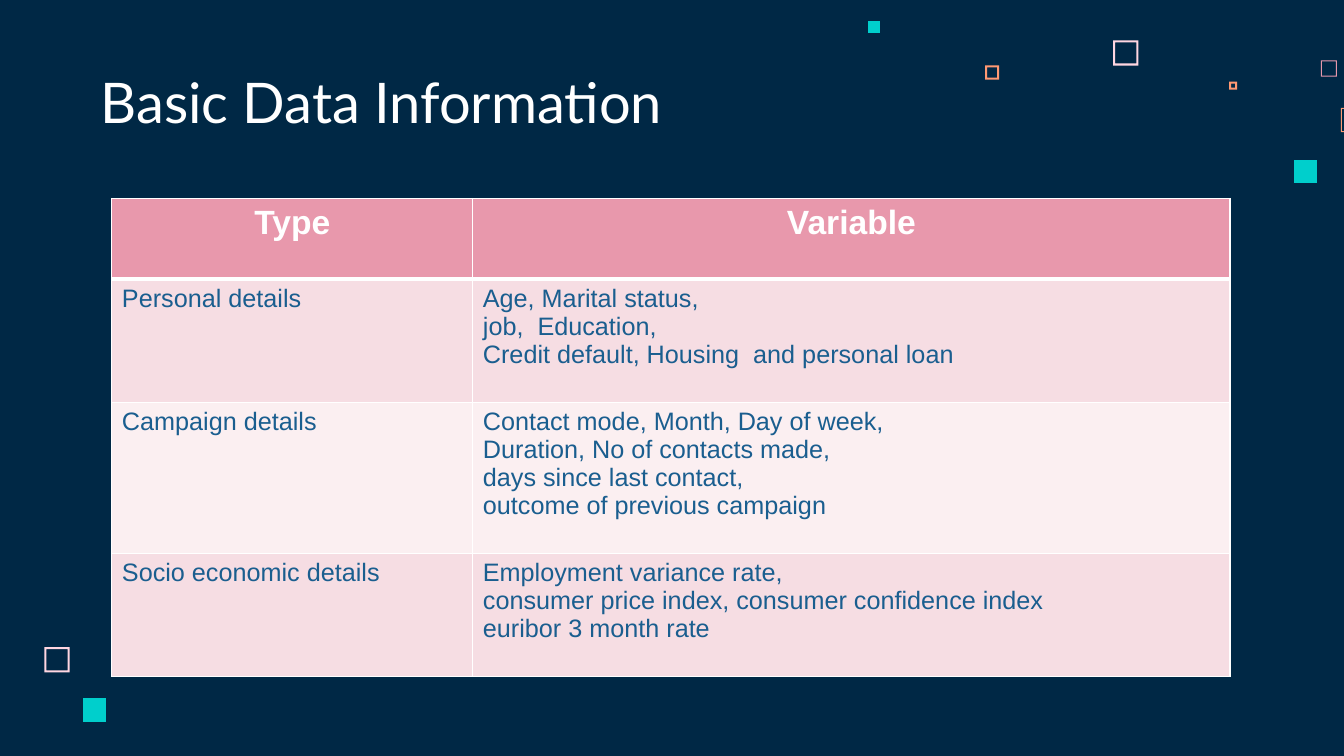
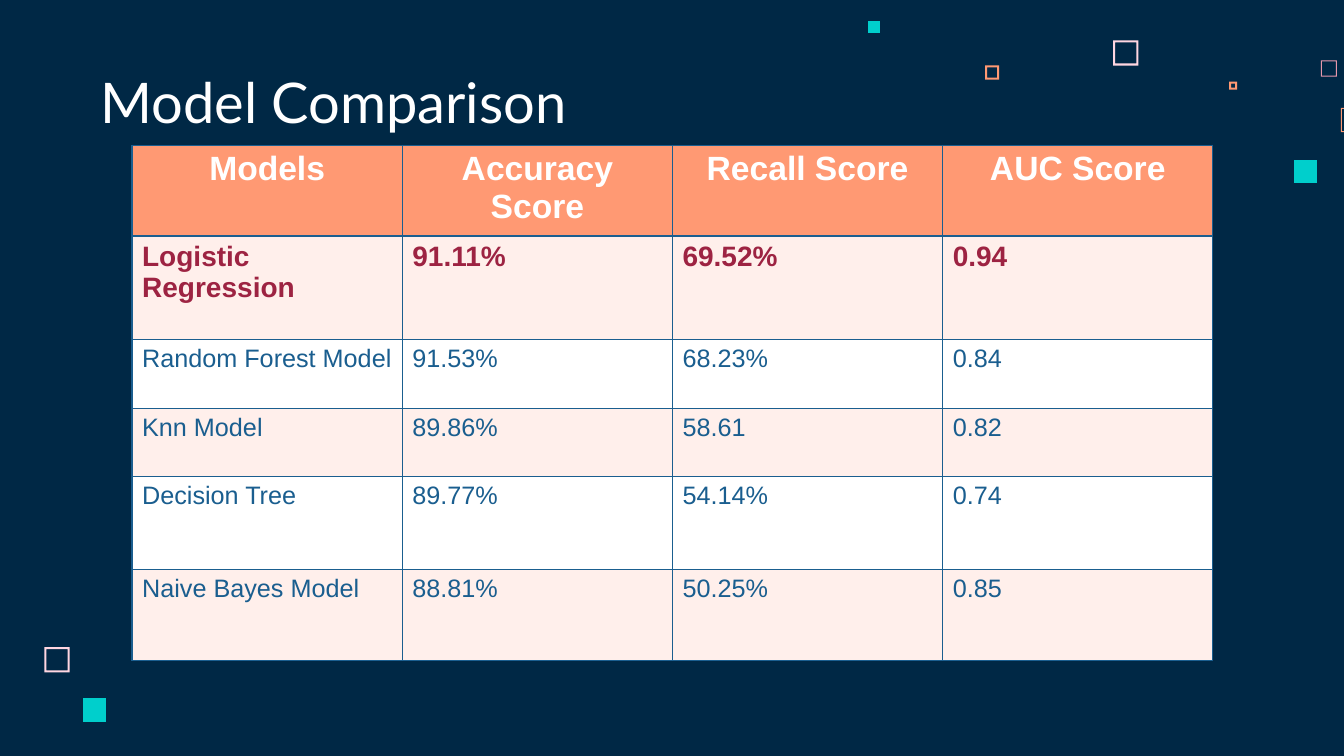
import pptx
import pptx.util
import pptx.dml.color
import pptx.enum.text
import pptx.oxml
import pptx.oxml.ns

Inches = pptx.util.Inches
Pt = pptx.util.Pt

COLORS = {
    "navy": "002845",
    "white": "FFFFFF",
    "blush": "FFD6E1",
    "rose": "E898AC",
    "rose_mid": "F6DDE3",
    "rose_light": "FBEFF1",
    "orange": "FF9973",
    "orange_light": "FFEFEB",
    "teal": "00CFCC",
    "blue": "1A5E8F",
    "crimson": "9D2342",
}

SQUARES = [
    (11.04, 0.4, 0.25, 0.02, "blush"),
    (13.1, 0.6, 0.16, 0.01, "rose"),
    (12.19, 0.81, 0.08, 0.02, "orange"),
    (13.3, 1.07, 0.24, 0.01, "orange"),
    (12.83, 1.59, 0.23, 0, "teal"),
    (9.77, 0.65, 0.14, 0.02, "orange"),
    (8.61, 0.21, 0.12, 0, "teal"),
    (0.44, 6.42, 0.25, 0.02, "blush"),
    (0.82, 6.93, 0.23, 0, "teal"),
]

SLIDES = [
    {
        "title": "Basic Data Information",
        "left": 1.11,
        "top": 1.97,
        "widths": [3.58, 7.51],
        "heights": [0.8, 1.22, 1.5, 1.22],
        "header_fill": "rose",
        "band_fills": ["rose_mid", "rose_light"],
        "border": "white",
        "header_rule": 3,
        "highlight_row": None,
        "rows": [
            ["Type", "Variable"],
            ["Personal details",
             "Age, Marital status,\njob,  Education,\nCredit default, Housing  and personal loan"],
            ["Campaign details",
             "Contact mode, Month, Day of week,\nDuration, No of contacts made,\n"
             "days since last contact,\noutcome of previous campaign"],
            ["Socio economic details",
             "Employment variance rate,\nconsumer price index, consumer confidence index\n"
             "euribor 3 month rate"],
        ],
    },
    {
        "title": "Model Comparison",
        "left": 1.31,
        "top": 1.44,
        "widths": [2.68] * 4,
        "heights": [0.84, 1.03, 0.68, 0.68, 0.92, 0.9],
        "header_fill": "orange",
        "band_fills": ["orange_light", "white"],
        "border": "blue",
        "header_rule": 1,
        "highlight_row": 1,
        "rows": [
            ["Models", "Accuracy Score", "Recall Score", "AUC Score"],
            ["Logistic Regression", "91.11%", "69.52%", "0.94"],
            ["Random Forest Model", "91.53%", "68.23%", "0.84"],
            ["Knn Model", "89.86%", "58.61", "0.82"],
            ["Decision Tree", "89.77%", "54.14%", "0.74"],
            ["Naive Bayes Model", "88.81%", "50.25%", "0.85"],
        ],
    },
]


def add_text(paragraph, text, font_name, size, color, bold=False):
    run = paragraph.add_run()
    run.text = text
    run.font.name = font_name
    run.font.size = Pt(size)
    run.font.bold = bold
    run.font.color.rgb = pptx.dml.color.RGBColor.from_string(COLORS[color])


def set_borders(cell, color, weights):
    properties = cell._tc.get_or_add_tcPr()
    for side, weight in zip("LRTB", weights):
        properties.append(pptx.oxml.parse_xml(
            f'<a:ln{side} {pptx.oxml.ns.nsdecls("a")} w="{Pt(weight)}">'
            f'<a:solidFill><a:srgbClr val="{COLORS[color]}"/></a:solidFill></a:ln{side}>'
        ))


presentation = pptx.Presentation()
presentation.slide_width = Inches(13.33)
presentation.slide_height = Inches(7.5)
background = presentation.slide_master.background.fill
background.solid()
background.fore_color.rgb = pptx.dml.color.RGBColor.from_string(COLORS["navy"])

for content in SLIDES:
    slide = presentation.slides.add_slide(presentation.slide_layouts[6])

    for left, top, size, border, color in SQUARES:
        x1, y1 = Inches(left), Inches(top)
        x2, y2 = Inches(left + size), Inches(top + size)
        builder = slide.shapes.build_freeform(x1, y1)
        builder.add_line_segments([(x1, y2), (x2, y2), (x2, y1)], close=True)
        if border:
            inset = Inches(border)
            x1, y1, x2, y2 = x1 + inset, y1 + inset, x2 - inset, y2 - inset
            builder.move_to(x1, y1)
            builder.add_line_segments([(x2, y1), (x2, y2), (x1, y2)], close=True)
        square = builder.convert_to_shape()
        square.shadow.inherit = False
        square.fill.solid()
        square.fill.fore_color.rgb = pptx.dml.color.RGBColor.from_string(COLORS[color])
        square.line.fill.background()

    title = slide.shapes.add_textbox(Inches(0.9), Inches(0.6), Inches(6.89), Inches(0.84))
    frame = title.text_frame
    frame.word_wrap = True
    frame.vertical_anchor = pptx.enum.text.MSO_ANCHOR.BOTTOM
    frame.margin_left = frame.margin_right = Inches(0.1)
    frame.margin_top = frame.margin_bottom = Inches(0.1)
    add_text(frame.paragraphs[0], content["title"], "Lato", 40, "white")

    widths, heights = content["widths"], content["heights"]
    table = slide.shapes.add_table(
        len(heights), len(widths), Inches(content["left"]), Inches(content["top"]),
        Inches(sum(widths)), Inches(sum(heights)),
    ).table
    table.horz_banding = False
    for column, width in zip(table.columns, widths):
        column.width = Inches(width)

    for row_index, texts in enumerate(content["rows"]):
        table.rows[row_index].height = Inches(heights[row_index])
        is_header = row_index == 0
        if is_header:
            fill, size, color, bold = content["header_fill"], 24, "white", True
        else:
            fill, size, color, bold = content["band_fills"][(row_index - 1) % 2], 18, "blue", False
        if row_index == content["highlight_row"]:
            size, color, bold = 20, "crimson", True
        top_rule = content["header_rule"] if row_index == 1 else 1
        bottom_rule = content["header_rule"] if is_header else 1

        for column_index, text in enumerate(texts):
            cell = table.cell(row_index, column_index)
            set_borders(cell, content["border"], [1, 1, top_rule, bottom_rule])
            cell.fill.solid()
            cell.fill.fore_color.rgb = pptx.dml.color.RGBColor.from_string(COLORS[fill])
            for line_index, line in enumerate(text.split("\n")):
                frame = cell.text_frame
                paragraph = frame.add_paragraph() if line_index else frame.paragraphs[0]
                if is_header:
                    paragraph.alignment = pptx.enum.text.PP_ALIGN.CENTER
                add_text(paragraph, line, "Arial", size, color, bold)

presentation.save("out.pptx")
